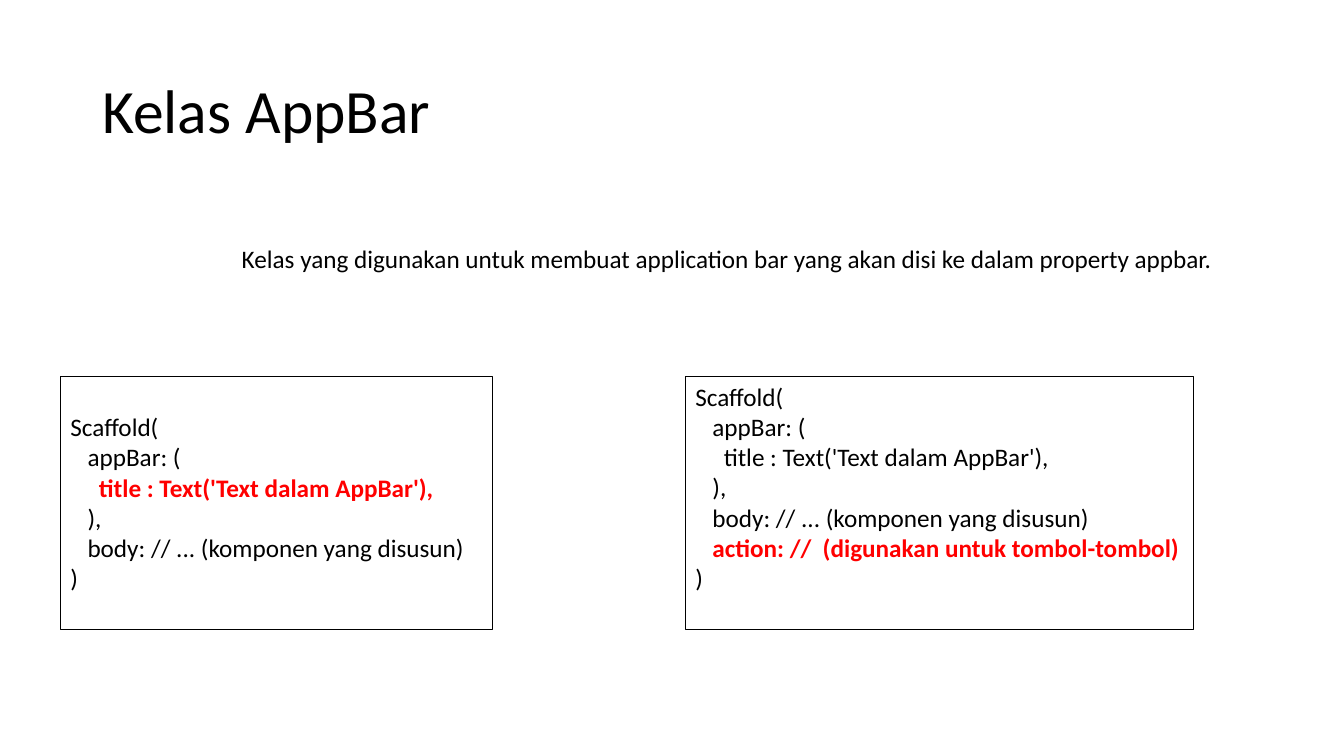
from pptx import Presentation
from pptx.dml.color import RGBColor
from pptx.enum.shapes import MSO_SHAPE
from pptx.enum.text import MSO_ANCHOR, PP_ALIGN
from pptx.util import Pt

BLACK, RED = "000000", "FF0000"
BODY_SIZE = 18
LINE_HEIGHT = 21.6
SPACE_WIDTH = 4.07
BOX_TOP, BOX_HEIGHT = 268.6, 181.4

TITLE_LINE = (5, "title : Text('Text dalam AppBar'),")
ACTION_LINE = (3, "action: //  (digunakan untuk tombol-tombol)")
OPENING = [(0, "Scaffold("), (3, "appBar: ("), TITLE_LINE, (3, "),"),
           (3, "body: // ... (komponen yang disusun)")]
CLOSING = [(0, ")")]


def set_values(target, values):
    for name, value in values.items():
        setattr(target, name, value)


def color(hex_value):
    return RGBColor.from_string(hex_value)


def write(paragraph, text, size=BODY_SIZE, hex_value=BLACK, bold=False):
    paragraph.alignment = PP_ALIGN.LEFT
    run = paragraph.add_run()
    run.text = text
    set_values(run.font, {"name": "Calibri", "size": Pt(size), "bold": bold})
    run.font.color.rgb = color(hex_value)


def add_label(slide, bounds, text, size=BODY_SIZE, anchor=MSO_ANCHOR.TOP, spacing=1.0):
    frame = slide.shapes.add_textbox(*map(Pt, bounds)).text_frame
    set_values(frame, {"word_wrap": True, "vertical_anchor": anchor})
    paragraph = frame.paragraphs[0]
    paragraph.line_spacing = spacing
    write(paragraph, text, size)


def add_code_box(slide, left, width, lines, highlight, lines_above=0):
    shape = slide.shapes.add_shape(
        MSO_SHAPE.RECTANGLE, Pt(left), Pt(BOX_TOP), Pt(width), Pt(BOX_HEIGHT))
    shape.shadow.inherit = False
    shape.fill.background()
    shape.line.color.rgb = color(BLACK)
    shape.line.width = Pt(0.75)
    frame = shape.text_frame
    set_values(frame, {"word_wrap": True, "vertical_anchor": MSO_ANCHOR.TOP,
                       "margin_top": Pt(3.6 + lines_above * LINE_HEIGHT)})
    for index, line in enumerate(lines):
        paragraph = frame.add_paragraph() if index else frame.paragraphs[0]
        depth, text = line
        marked = line == highlight
        write(paragraph, text, hex_value=RED if marked else BLACK, bold=marked)
        paragraph._p.get_or_add_pPr().set("marL", str(int(Pt(depth * SPACE_WIDTH))))


def main():
    presentation = Presentation()
    set_values(presentation, {"slide_width": Pt(960), "slide_height": Pt(540)})
    slide = presentation.slides.add_slide(presentation.slide_layouts[6])
    add_label(slide, (66, 28.75, 828, 104.4), "Kelas AppBar", 44, MSO_ANCHOR.MIDDLE, 0.9)
    add_label(slide, (165.6, 170.6, 715.7, 29),
              "Kelas yang digunakan untuk membuat application bar "
              "yang akan disi ke dalam property appbar.")
    add_code_box(slide, 43.2, 308.9, OPENING + CLOSING, TITLE_LINE, lines_above=1)
    add_code_box(slide, 489.6, 362.9, OPENING + [ACTION_LINE] + CLOSING, ACTION_LINE)
    presentation.save("out.pptx")


main()
